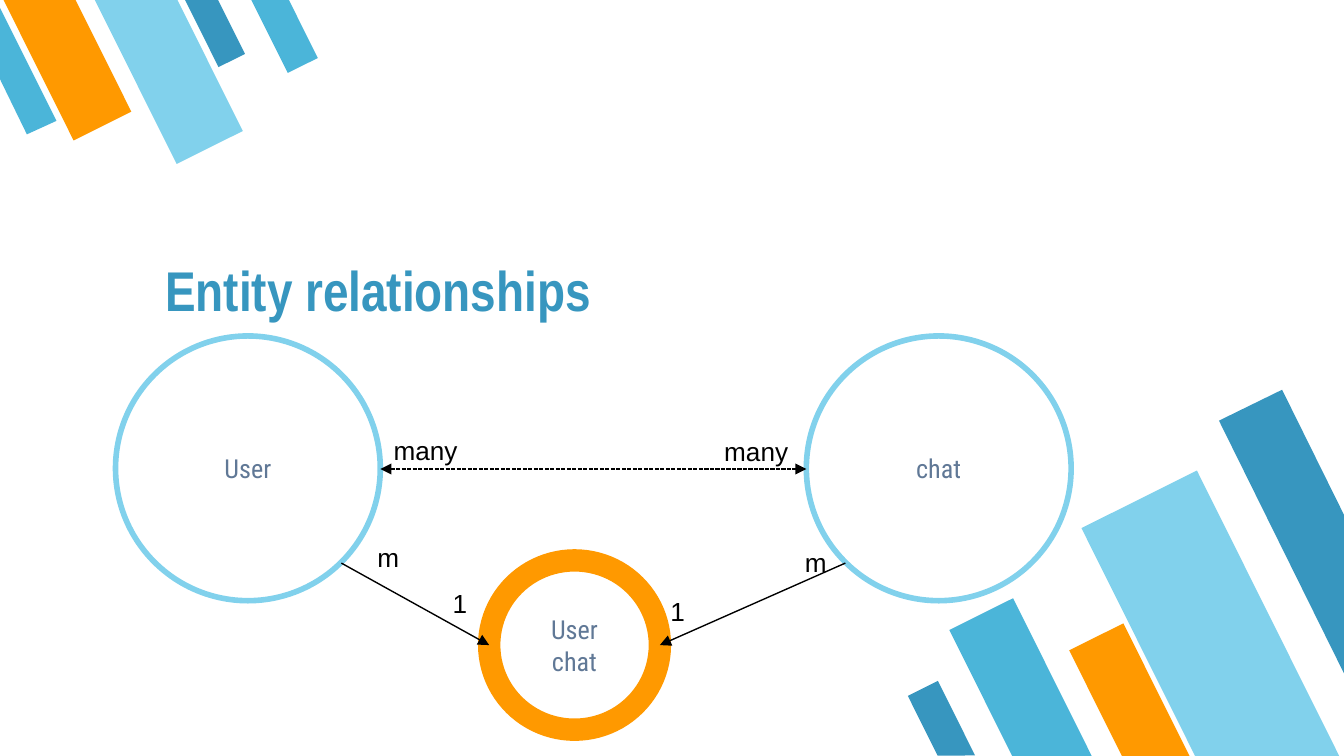
from lxml import etree
from pptx import Presentation
from pptx.dml.color import RGBColor
from pptx.enum.dml import MSO_LINE
from pptx.enum.shapes import MSO_CONNECTOR, MSO_SHAPE
from pptx.enum.text import MSO_ANCHOR, PP_ALIGN
from pptx.oxml.ns import qn
from pptx.util import Inches, Pt

STRIPE, ELLIPSE = MSO_SHAPE.FLOWCHART_MANUAL_INPUT, MSO_SHAPE.OVAL
STRAIGHT, DASH = MSO_CONNECTOR.STRAIGHT, MSO_LINE.SQUARE_DOT
LEFT, CENTER = PP_ALIGN.LEFT, PP_ALIGN.CENTER
TOP, MIDDLE, BOTTOM = MSO_ANCHOR.TOP, MSO_ANCHOR.MIDDLE, MSO_ANCHOR.BOTTOM
COLORS = {"teal": "4BB5D9", "sky": "81D1EC", "orange": "FF9900",
          "blue": "3796BF", "slate": "607896", "black": "000000"}


def color(name):
    return RGBColor.from_string(COLORS[name])


def write(shape, text, font="Arial", size=14, ink="black", bold=False,
          align=LEFT, anchor=TOP, inset_y=0.1):
    frame = shape.text_frame
    frame.word_wrap = True
    frame.vertical_anchor = anchor
    frame.margin_left = frame.margin_right = Inches(0.1)
    frame.margin_top = frame.margin_bottom = Inches(inset_y)
    para = frame.paragraphs[0]
    para.alignment = align
    span = para.add_run()
    span.text = text
    span.font.name, span.font.size, span.font.bold = font, Pt(size), bold
    span.font.color.rgb = color(ink)


# Widescreen page, 16:9
deck = Presentation()
deck.slide_width = Inches(10)
deck.slide_height = Inches(10 * 9 / 16)
page = deck.slides.add_slide(deck.slide_layouts[5])
shapes = page.shapes

# Slanted stripes in the two corners
corners = [
    (153.5, [(7.33, 4.5, 0.53, 1.32, "teal"), (8.53, 3.59, 0.96, 2.39, "sky"),
             (8.18, 4.68, 0.45, 1.11, "orange"), (6.88, 5.09, 0.25, 0.62, "blue")]),
    (333.5, [(1.49, -0.08, 0.22, 0.56, "blue"), (0.26, -0.18, 0.48, 1.18, "orange"),
             (0.98, -0.2, 0.55, 1.37, "sky"), (1.99, -0.1, 0.25, 0.62, "teal")]),
]
stripes = []
for angle, bars in corners:
    for *place, fill in bars:
        stripe = shapes.add_shape(STRIPE, *map(Inches, place))
        stripe._element.spPr.xfrm.set("flipH", "1")
        stripe.rotation = angle
        stripes.append((stripe, fill))

# Stripes cut off by the slide edge
cut_stripes = [
    ([(9.54, 2.9), (9.07, 3.13), (10, 5.01), (10, 3.83)], "blue"),
    ([(0.2, 1), (0.42, 0.9), (0, 0.06), (0, 0.59)], "teal"),
]
for points, fill in cut_stripes:
    start, *rest = [(Inches(x), Inches(y)) for x, y in points]
    builder = shapes.build_freeform(*start)
    builder.add_line_segments(rest, close=True)
    stripes.append((builder.convert_to_shape(), fill))

for stripe, fill in stripes:
    stripe.shadow.inherit = False
    stripe.fill.solid()
    stripe.fill.fore_color.rgb = color(fill)
    stripe.line.fill.background()

# Title
title = shapes.title
title.left, title.top, title.width, title.height = map(Inches, (1.13, 1.76, 6.3, 0.74))
write(title, "Entity relationships", font="Arial Narrow", size=30, ink="blue",
      bold=True, anchor=BOTTOM)

# Entities
entities = [
    ("User", 0.86, 2.5, 1.97, 1.97, "sky", 3),
    ("chat", 6, 2.5, 1.97, 1.97, "sky", 3),
    ("User chat", 3.64, 4.17, 1.27, 1.26, "orange", 12),
]
for name, *place, outline, weight in entities:
    entity = shapes.add_shape(ELLIPSE, *map(Inches, place))
    entity.shadow.inherit = False
    entity.fill.background()
    entity.line.color.rgb = color(outline)
    entity.line.width = Pt(weight)
    write(entity, name, font="Roboto Condensed", ink="slate", align=CENTER, anchor=MIDDLE)

# Relationship arrows
arrows = [
    (2.83, 3.49, 6, 3.49, True),
    (2.54, 4.19, 3.64, 4.8, False),
    (6.29, 4.19, 4.91, 4.8, False),
]
for *ends, many_to_many in arrows:
    arrow = shapes.add_connector(STRAIGHT, *map(Inches, ends))
    arrow.line.color.rgb = color("black")
    arrow.line.width = Pt(0.75)
    tips = ["a:tailEnd"]
    if many_to_many:
        arrow.line.dash_style = DASH
        tips.insert(0, "a:headEnd")
    for tip in tips:
        etree.SubElement(arrow.line._get_or_add_ln(), qn(tip), type="triangle")
    etree.SubElement(arrow._element.spPr, qn("a:effectLst"))

# Cardinalities
cardinalities = [
    ("many", 2.83, 3.18, 0.7), ("many", 5.29, 3.19, 0.93),
    ("m", 2.71, 3.98, 0.23), ("1", 3.27, 4.32, 0.23),
    ("1", 4.89, 4.38, 0.23), ("m", 5.89, 4.02, 0.23),
]
for text, left, top, width in cardinalities:
    box = shapes.add_textbox(Inches(left), Inches(top), Inches(width), Inches(0.34))
    write(box, text, inset_y=0.05)

deck.save("out.pptx")
